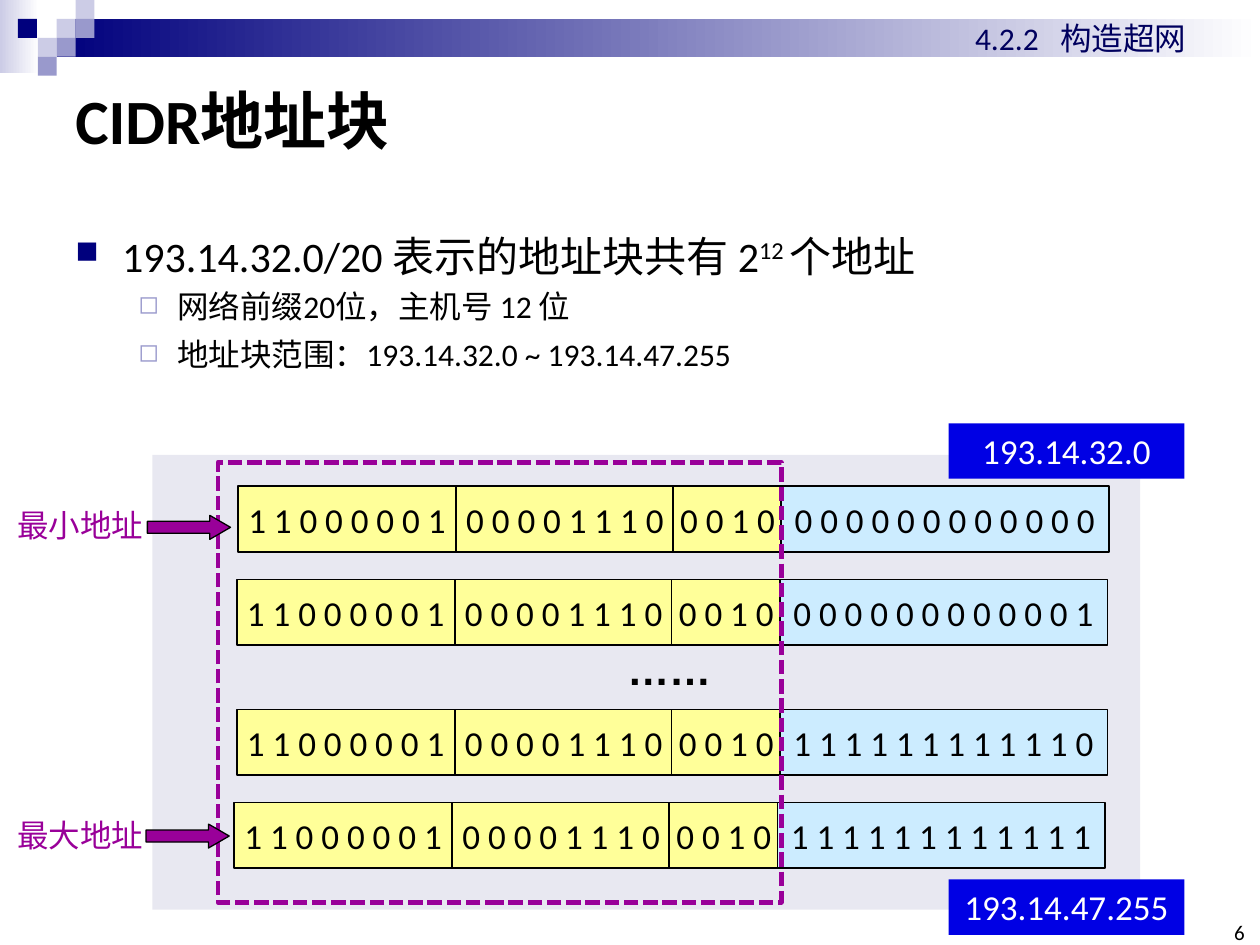
from lxml import etree
from pptx import Presentation, util as u
from pptx.dml.color import RGBColor
from pptx.enum import dml, shapes, text
from pptx.oxml import ns

prs = Presentation()
prs.slide_width, prs.slide_height = u.Inches(10), u.Inches(7.5)
s = prs.slides.add_slide(prs.slide_layouts[6])
col = row = prs.slide_width / 100  # square grid: 100 columns by 75 rows
rgb = RGBColor.from_string
LEFT, MID, RIGHT = text.PP_ALIGN.LEFT, text.PP_ALIGN.CENTER, text.PP_ALIGN.RIGHT
RECT, ARROW = shapes.MSO_SHAPE.RECTANGLE, shapes.MSO_SHAPE.RIGHT_ARROW
NO_INSET = dict.fromkeys(["margin_left", "margin_right", "margin_top", "margin_bottom"], 0)
MIDDLE = {"vertical_anchor": text.MSO_ANCHOR.MIDDLE}


def box(x, y, w, h, fill=None, line=None, width=1, kind=RECT):
    """Place a shape on the grid; two fill colours make a gradient."""
    sp = s.shapes.add_shape(kind, *(int(v) for v in (x * col, y * row, w * col, h * row)))
    sp.shadow.inherit = False
    if isinstance(fill, tuple):
        sp.fill.gradient()
        sp.fill.gradient_angle = 0
        for stop, c in zip(sp.fill.gradient_stops, fill):
            stop.color.rgb = rgb(c)
    elif fill:
        sp.fill.solid()
        sp.fill.fore_color.rgb = rgb(fill)
    else:
        sp.fill.background()
    if line:
        sp.line.color.rgb, sp.line.width = rgb(line), u.Pt(width)
    else:
        sp.line.fill.background()
    return sp


def write(sp, lines, size, color="000000", align=LEFT, name="Calibri", bold=False, frame=None):
    """Fill a shape with paragraphs and return them."""
    tf = sp.text_frame
    fmt = {"word_wrap": True, "vertical_anchor": text.MSO_ANCHOR.TOP, **(frame or {})}
    for key, value in fmt.items():
        setattr(tf, key, value)
    for i, runs in enumerate(lines):
        p = tf.paragraphs[0] if i == 0 else tf.add_paragraph()
        p.alignment = align
        for t in runs:
            r = p.add_run()
            r.text = t
            for key, value in {"size": u.Pt(size), "name": name, "bold": bold}.items():
                setattr(r.font, key, value)
            r.font.color.rgb = rgb(color)
    return tf.paragraphs


# Header band and mosaic
box(0, 0, 3.1, 5.8, ("CCCCE6", "FFFFFF"))
box(4.5, 1.5, 95.5, 3, ("00007D", "FFFFFF"))
tile = 1.5
for c, r, fill in [(3, 1, "CCCCE6"), (4, 0, "CCCCE6"), (4, 1, "9999CC"), (2, 2, "CCCCE6"),
                   (0.95, 1, "00007D"), (3, 2, "9999CC"), (2, 3, "9999CC")]:
    box(c * tile, r * tile, tile, tile, fill)

# Panel behind the address rows
box(12.1, 36.1, 78.4, 36.1, "E8E8F1")

# Title, section name and page number
write(box(5, 5, 90, 8.9), [["CIDR地址块"]], 36, bold=True, frame=MIDDLE)
write(box(76.4, 1, 19.7, 4), [["4.2.2   构造超网"]], 18, "00005E")
write(box(96.5, 73.3, 2.3, 1.7), [["6"]], 12, align=RIGHT,
      frame={**NO_INSET, "vertical_anchor": text.MSO_ANCHOR.BOTTOM})

# Bulleted text
ps = write(box(5, 15.8, 91.5, 19.5),
           [["193.14.32.0/20 表示的地址块共有 2", "12 ", "个地址"],
            ["网络前缀20位，主机号 12 位"],
            ["地址块范围：193.14.32.0 ~ 193.14.47.255"]], 18)
ps[0].line_spacing = 1.5
for r in ps[0].runs:
    r.font.size = u.Pt(24)
ps[0].runs[1].font._element.set("baseline", "30000")
top, sub = ("■", "00007D", 75, 3.7, 3.7), ("◻", "9999CC", 80, 8.1, 3.1)
for p, before, (mark, color, share, left, hang) in zip(ps, (4.8, 3.6, 6), (top, sub, sub)):
    p.space_before = u.Pt(before)
    pPr = p._p.get_or_add_pPr()
    pPr.set("marL", str(int(left * col)))
    pPr.set("indent", str(int(-hang * col)))
    clr = etree.SubElement(pPr, ns.qn("a:buClr"))
    etree.SubElement(clr, ns.qn("a:srgbClr"), val=color)
    etree.SubElement(pPr, ns.qn("a:buSzPct"), val=str(share * 1000))
    etree.SubElement(pPr, ns.qn("a:buChar"), char=mark)

# Address rows: 8 + 8 + 4 prefix bits, then 12 host bits
prefix = ["11000001", "00001110", "0010"]
offsets, widths = (0, 17.3, 34.5, 43.1), (17.3, 17.3, 8.7, 26)
for x, y, host in [(18.9, 38.6, "0" * 12), (18.8, 46, "0" * 11 + "1"),
                   (18.8, 56.3, "1" * 11 + "0"), (18.6, 63.7, "1" * 12)]:
    for bits, dx, w in zip(prefix + [host], offsets, widths):
        fill = "CCECFF" if bits == host else "FFFF99"
        write(box(x + dx, y, w, 5.2, fill, "000000"), [[" ".join(bits)]], 20, align=MID,
              frame={**NO_INSET, **MIDDLE, "word_wrap": False})
write(box(48.8, 50.6, 8.9, 5), [["……"]], 24, name="Arial", bold=True)

# Dashed frame around the network prefix
sp = box(17.3, 36.7, 44.7, 34.9, None, "990099", 2.75)
sp.line.dash_style = dml.MSO_LINE.SQUARE_DOT

# Lowest and highest address: label, arrow and blue tag
for label, y, arrow_x, arrow_y, address, tag_y in [
        ("最小地址", 39.7, 11.7, 40.9, "193.14.32.0", 33.6),
        ("最大地址", 64.3, 11.6, 65.4, "193.14.47.255", 69.8)]:
    write(box(0.4, y, 12.1, 4), [[label]], 18, "990099", frame={"word_wrap": False})
    sp = box(arrow_x, arrow_y, 6.6, 1.9, "990099", "000000", 0.75, ARROW)
    sp.adjustments[0], sp.adjustments[1] = 0.5, 0.864
    write(box(75.3, tag_y, 18.7, 4.4, "0000E4"), [[address]], 20, "FFFFFF", MID)

prs.save("out.pptx")
